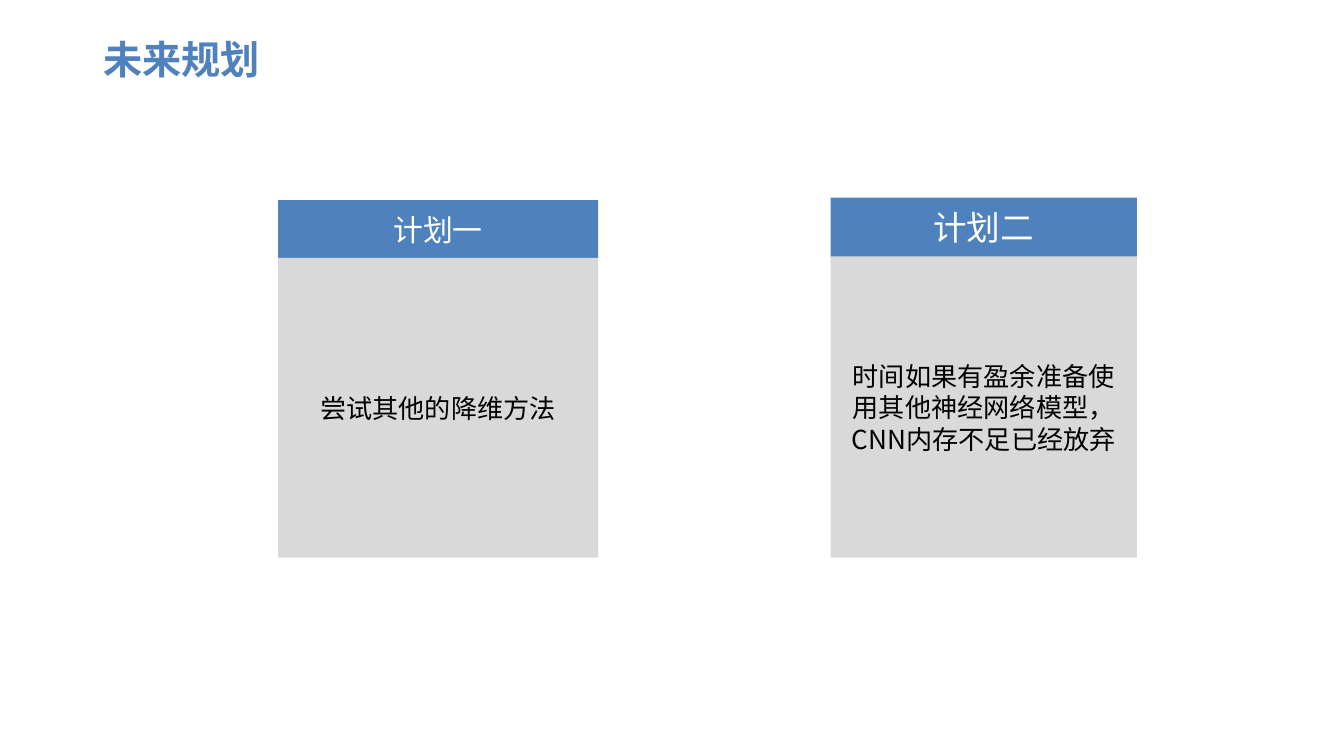
from lxml import etree
from pptx import Presentation
from pptx.dml.color import RGBColor
from pptx.enum.shapes import MSO_SHAPE
from pptx.enum.text import MSO_ANCHOR, PP_ALIGN
from pptx.oxml.ns import qn
from pptx.util import Inches, Pt

RECTANGLE = MSO_SHAPE.RECTANGLE
MIDDLE = MSO_ANCHOR.MIDDLE
CENTER = PP_ALIGN.CENTER
FONT = "Noto Sans CJK SC"
BLUE, GRAY, WHITE, BLACK = "4F81BD", "D9D9D9", "FFFFFF", "000000"
SLIDE_WIDTH = 10
SLIDE_HEIGHT = SLIDE_WIDTH * 9 / 16
CARD_BOTTOM = 4.15


def rgb(value):
    return RGBColor.from_string(value)


def set_text(sp, text, size, color, bold=False):
    tf = sp.text_frame
    tf.word_wrap = True
    tf.vertical_anchor = MIDDLE
    p = tf.paragraphs[0]
    p.alignment = CENTER
    r = p.add_run()
    r.text = text
    r.font.name = FONT
    r.font.size = Pt(size)
    r.font.bold = bold
    r.font.color.rgb = rgb(color)
    east_asian = etree.SubElement(r.font._element, qn("a:ea"))
    east_asian.set("typeface", FONT)


def add_title(s, text):
    sp = s.shapes.title
    sp.left, sp.top = Inches(0), Inches(0.21)
    sp.width, sp.height = Inches(2.7), Inches(0.45)
    set_text(sp, text, 21, BLUE, bold=True)


def add_box(shapes, left, top, width, height, fill, text, size, color):
    sp = shapes.add_shape(RECTANGLE, Inches(left), Inches(top),
                          Inches(width), Inches(height))
    sp.shadow.inherit = False
    sp.fill.solid()
    sp.fill.fore_color.rgb = rgb(fill)
    sp.line.fill.background()
    set_text(sp, text, size, color)


def add_plan(s, left, top, width, header_height, heading, size, body):
    shapes = s.shapes.add_group_shape().shapes
    body_top = top + header_height
    add_box(shapes, left, top, width, header_height, BLUE, heading, size, WHITE)
    add_box(shapes, left, body_top, width, CARD_BOTTOM - body_top,
            GRAY, body, 14, BLACK)


def main():
    prs = Presentation()
    prs.slide_width, prs.slide_height = Inches(SLIDE_WIDTH), Inches(SLIDE_HEIGHT)
    s = prs.slides.add_slide(prs.slide_layouts[5])
    add_title(s, "未来规划")
    add_plan(s, 6.18, 1.47, 2.28, 0.44, "计划二", 18,
             "时间如果有盈余准备使用其他神经网络模型，CNN内存不足已经放弃")
    add_plan(s, 2.07, 1.49, 2.38, 0.43, "计划一", 16, "尝试其他的降维方法")
    prs.save("out.pptx")


if __name__ == "__main__":
    main()
